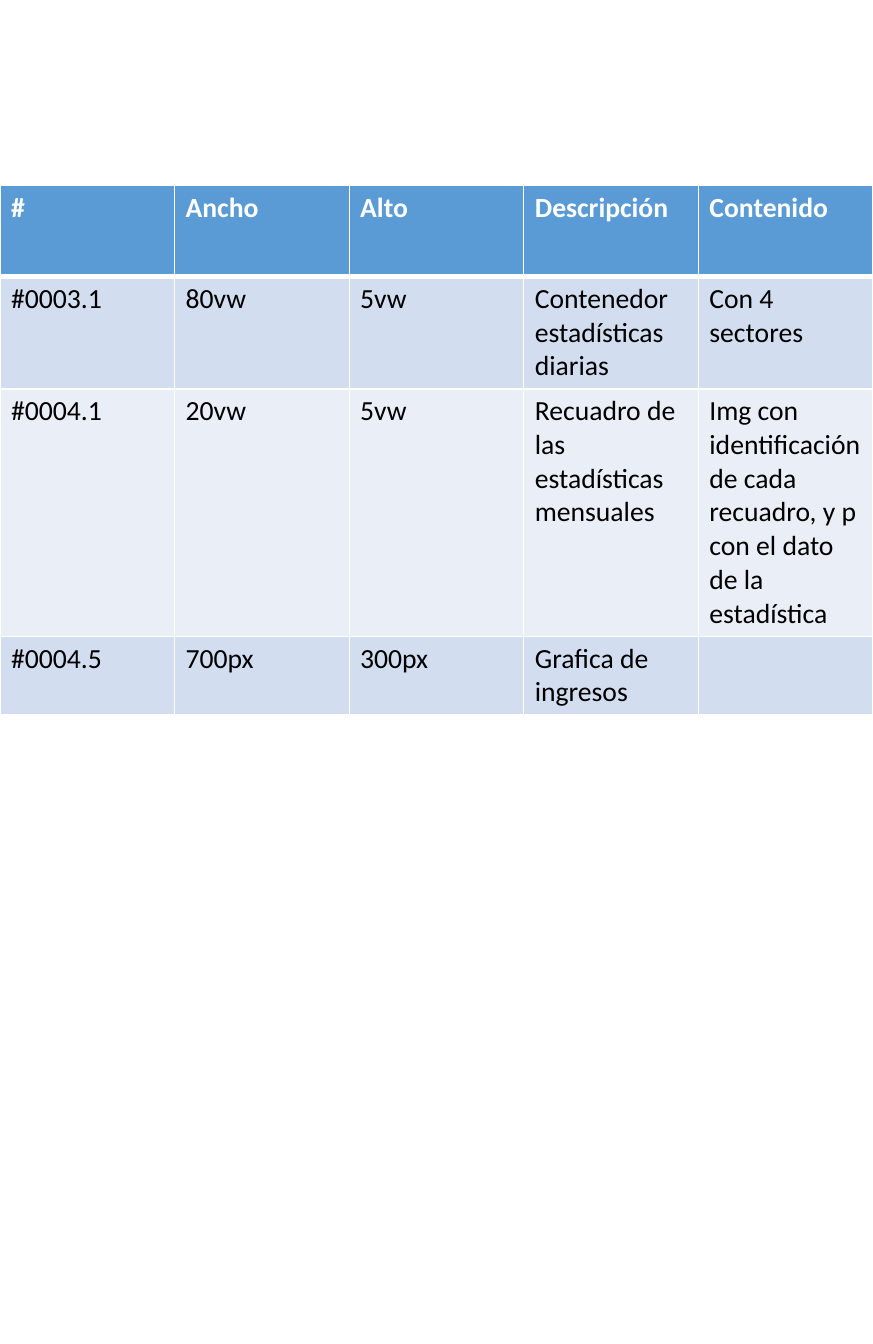
import pptx
import pptx.dml.color
import pptx.oxml.ns
import pptx.util
import lxml.etree

SLIDE_W, SLIDE_H = 7.89, 12.15
TABLE_TOP = 1.68
ROW_HEIGHTS = (0.82, 0.82, 0.44, 0.44)
ROWS = [
    ("#", "Ancho", "Alto", "Descripción", "Contenido"),
    ("#0003.1", "80vw", "5vw", "Contenedor estadísticas diarias", "Con 4 sectores"),
    ("#0004.1", "20vw", "5vw", "Recuadro de las estadísticas mensuales",
     "Img con identificación de cada recuadro, y p con el dato de la estadística"),
    ("#0004.5", "700px", "300px", "Grafica de ingresos", ""),
]
HEADER_FILL, BANDS = "5B9BD5", ("D2DEEF", "EAEFF7")
HEADER_TEXT, BODY_TEXT, BORDER = "FFFFFF", "000000", "FFFFFF"
THIN, THICK = 1, 3
FONT = {"name": "Calibri", "size": pptx.util.Pt(18)}


def rgb(color):
    return pptx.dml.color.RGBColor.from_string(color)


def set_borders(cell, widths):
    """Draw the cell's sides; widths maps the side letters L, R, T, B to points."""
    tc_pr = cell._tc.get_or_add_tcPr()
    for i, (side, width) in enumerate(widths.items()):
        ln = lxml.etree.Element(pptx.oxml.ns.qn(f"a:ln{side}"), w=str(pptx.util.Pt(width)))
        fill = lxml.etree.SubElement(ln, pptx.oxml.ns.qn("a:solidFill"))
        lxml.etree.SubElement(fill, pptx.oxml.ns.qn("a:srgbClr"), val=BORDER)
        tc_pr.insert(i, ln)


def fill_cell(cell, text, row):
    header = row == 0
    cell.text = text
    cell.fill.solid()
    cell.fill.fore_color.rgb = rgb(HEADER_FILL if header else BANDS[(row - 1) % 2])
    p = cell.text_frame.paragraphs[0]
    for part in (p, *p.runs):
        for name, value in {**FONT, "bold": header}.items():
            setattr(part.font, name, value)
        part.font.color.rgb = rgb(HEADER_TEXT if header else BODY_TEXT)
    set_borders(cell, {"L": THIN, "R": THIN,
                       "T": THICK if row == 1 else THIN,
                       "B": THICK if header else THIN})


def main():
    prs = pptx.Presentation()
    prs.slide_width = pptx.util.Inches(SLIDE_W)
    prs.slide_height = pptx.util.Inches(SLIDE_H)
    s = prs.slides.add_slide(prs.slide_layouts[6])
    table = s.shapes.add_table(
        len(ROWS), len(ROWS[0]), 0, pptx.util.Inches(TABLE_TOP),
        prs.slide_width, pptx.util.Inches(sum(ROW_HEIGHTS))).table
    for r, (height, texts) in enumerate(zip(ROW_HEIGHTS, ROWS)):
        table.rows[r].height = pptx.util.Inches(height)
        for c, text in enumerate(texts):
            fill_cell(table.cell(r, c), text, r)
    prs.save("out.pptx")


if __name__ == "__main__":
    main()
